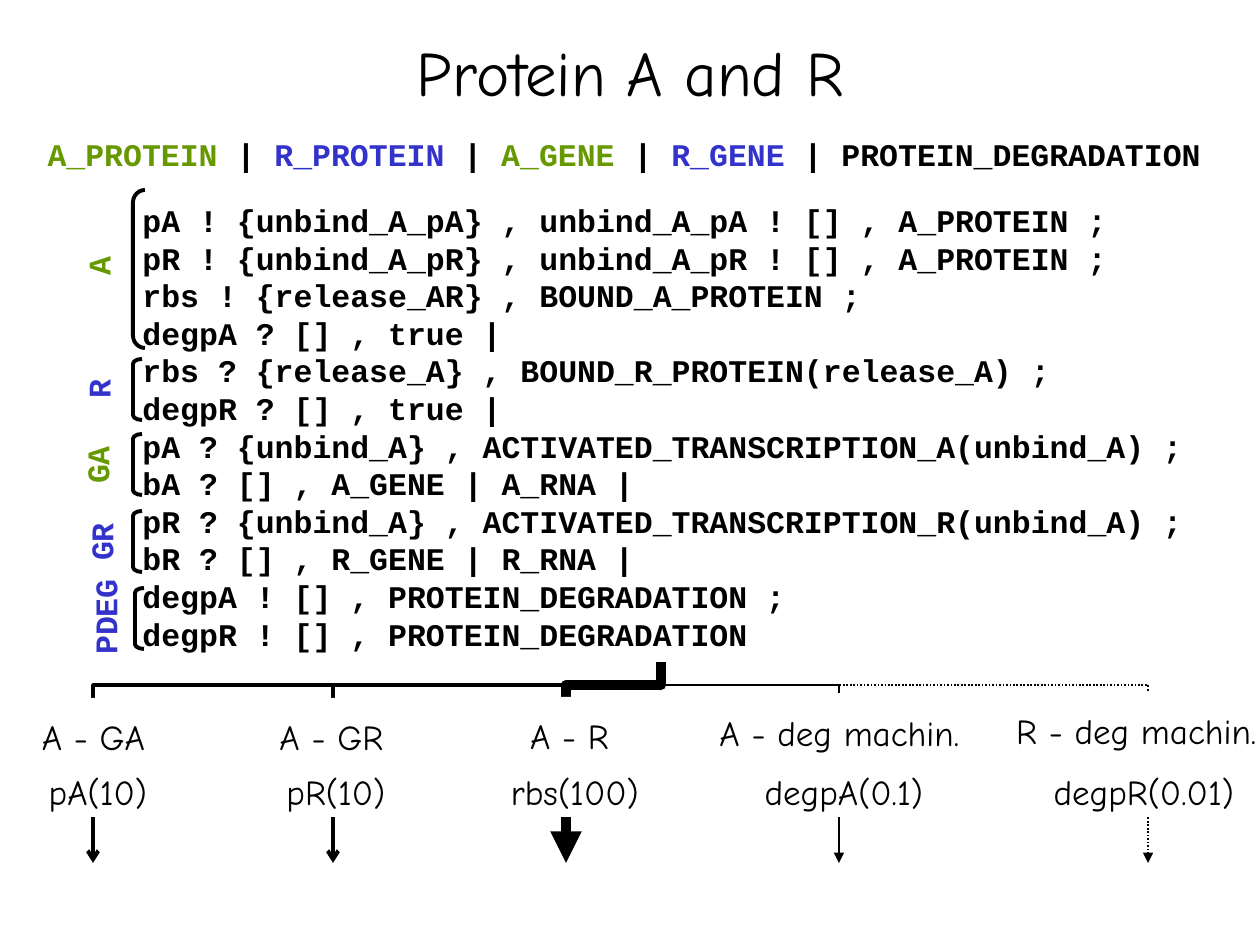
from lxml import etree
from pptx import Presentation
from pptx import util as u
from pptx.dml.color import RGBColor
from pptx.enum import dml, shapes, text
from pptx.oxml.ns import qn

SCALE = 914400 // 126
HAND, MONO = "Comic Neue", "Courier New"
BLACK, WHITE, GREEN, BLUE = "000000", "FFFFFF", "669900", "3333CC"
rgb = RGBColor.from_string


def write(shape, runs, font=MONO, size=18, bold=True, align="CENTER",
          anchor="TOP", wrap=False, pitch=None):
    """Fill a shape with one paragraph of (text, colour) runs."""
    frame = shape.text_frame
    frame.word_wrap = wrap
    frame.vertical_anchor = getattr(text.MSO_ANCHOR, anchor)
    para = frame.paragraphs[0]
    para.alignment = getattr(text.PP_ALIGN, align)
    if pitch:
        para.line_spacing = u.Pt(pitch)
    for words, color in runs:
        for i, line in enumerate(words.split("\n")):
            if i:
                para.add_line_break()
            run = para.add_run()
            run.text = line
            run.font.name, run.font.size = font, u.Pt(size)
            run.font.bold = bold
            run.font.color.rgb = rgb(color)


def px(*nums):
    return [round(n * SCALE) for n in nums]


deck = Presentation()
deck.slide_width, deck.slide_height = px(1260, 945)
slide = deck.slides.add_slide(deck.slide_layouts[5])
items = slide.shapes

title = items.title
title.left, title.top, title.width, title.height = px(95, -8, 1071, 158)
write(title, [("Protein A and R", BLACK)], font=HAND, size=36, bold=False,
      anchor="MIDDLE", wrap=True)

# Processes that run in parallel
head = items.add_textbox(*px(35, 129, 1178, 50))
write(head, [("A_PROTEIN", GREEN), (" | ", BLACK), ("R_PROTEIN", BLUE),
             (" | ", BLACK), ("A_GENE", GREEN), (" | ", BLACK),
             ("R_GENE", BLUE), (" | PROTEIN_DEGRADATION", BLACK)], pitch=21.5)

CODE = """pA ! {unbind_A_pA} , unbind_A_pA ! [] , A_PROTEIN ;
pR ! {unbind_A_pR} , unbind_A_pR ! [] , A_PROTEIN ;
rbs ! {release_AR} , BOUND_A_PROTEIN ;
degpA ? [] , true |
rbs ? {release_A} , BOUND_R_PROTEIN(release_A) ;
degpR ? [] , true |
pA ? {unbind_A} , ACTIVATED_TRANSCRIPTION_A(unbind_A) ;
bA ? [] , A_GENE | A_RNA |
pR ? {unbind_A} , ACTIVATED_TRANSCRIPTION_R(unbind_A) ;
bR ? [] , R_GENE | R_RNA |
degpA ! [] , PROTEIN_DEGRADATION ;
degpR ! [] , PROTEIN_DEGRADATION"""
code = items.add_textbox(*px(130, 195, 1065, 466))
write(code, [(CODE, BLACK)], align="LEFT", pitch=21.5)

# Brackets: name, colour, bracket box, centre and width of the name
for name, color, box, mid, wide in [
    ("A", GREEN, (133, 190, 12, 158), (98, 266), 44),
    ("R", BLUE, (133, 359, 9, 61), (98, 389), 44),
    ("GA", GREEN, (133, 434, 9, 61), (97, 465), 63),
    ("GR", BLUE, (133, 511, 9, 61), (101, 542), 63),
    ("PDEG", BLUE, (135, 588, 9, 61), (105, 617), 101),
]:
    brace = items.add_shape(shapes.MSO_SHAPE.LEFT_BRACKET, *px(*box))
    brace.adjustments[0] = 0.08 * box[3] / box[2]
    brace.shadow.inherit = False
    brace.fill.background()
    brace.line.color.rgb = rgb(BLACK)
    brace.line.width = u.Pt(2.25)
    label = items.add_textbox(*px(mid[0] - wide / 2, mid[1] - 25, wide, 50))
    label.rotation = 270
    write(label, [(name, color)], pitch=21.5)

# Elbow arrows from the code down to each reaction
START, TOP, END = 661, 662, 863
for goal, width, tip in [(93, 2.25, "arrow"), (333, 2.25, "arrow"),
                         (566, 6, "triangle"), (839, 1, "triangle"),
                         (1148, 1, "triangle")]:
    # The elbow is laid out sideways about its centre, then turned
    midx, midy = (START + goal) / 2, (TOP + END) / 2
    dx, dy = (END - TOP) / 2, abs(goal - START) / 2
    right = goal > START
    side = -1 if right else 1
    arrow = items.add_connector(
        shapes.MSO_CONNECTOR.ELBOW,
        *px(midx - side * dx, midy - dy, midx + side * dx, midy + dy))
    arrow.line.color.rgb = rgb(BLACK)
    arrow.line.width = u.Pt(width)
    if goal == 1148:
        arrow.line.dash_style = dml.MSO_LINE.ROUND_DOT
    props = arrow._element.spPr
    props.find(qn("a:xfrm")).set("rot", str((270 if right else 90) * 60000))
    geom = props.find(qn("a:prstGeom"))
    guides = geom.find(qn("a:avLst"))
    if guides is None:
        guides = etree.SubElement(geom, qn("a:avLst"))
    etree.SubElement(guides, qn("a:gd"), name="adj1", fmla="val 11500")
    etree.SubElement(props.find(qn("a:ln")), qn("a:tailEnd"), type=tip)
    etree.SubElement(props, qn("a:effectLst"))

# Rates, then the reacting pairs
for words, box in [
    ("pA(10)", (28, 767, 140, 50)),
    ("pR(10)", (266, 767, 140, 50)),
    ("rbs(100)", (505, 767, 140, 50)),
    ("degpA(0.1)", (743, 767, 202, 50)),
    ("degpR(0.01)", (1043, 767, 202, 50)),
    ("A - GA", (24, 698, 139, 78)),
    ("A - GR", (262, 698, 139, 78)),
    ("A - R", (500, 697, 139, 78)),
    ("A - deg machin.", (770, 693, 139, 79)),
    ("R - deg machin.", (1067, 692, 139, 78)),
]:
    card = items.add_shape(shapes.MSO_SHAPE.RECTANGLE, *px(*box))
    card.shadow.inherit = False
    card.fill.solid()
    card.fill.fore_color.rgb = rgb(WHITE)
    card.line.fill.background()
    write(card, [(words, BLACK)], font=HAND, size=20, bold=False,
          anchor="MIDDLE")

deck.save("out.pptx")
